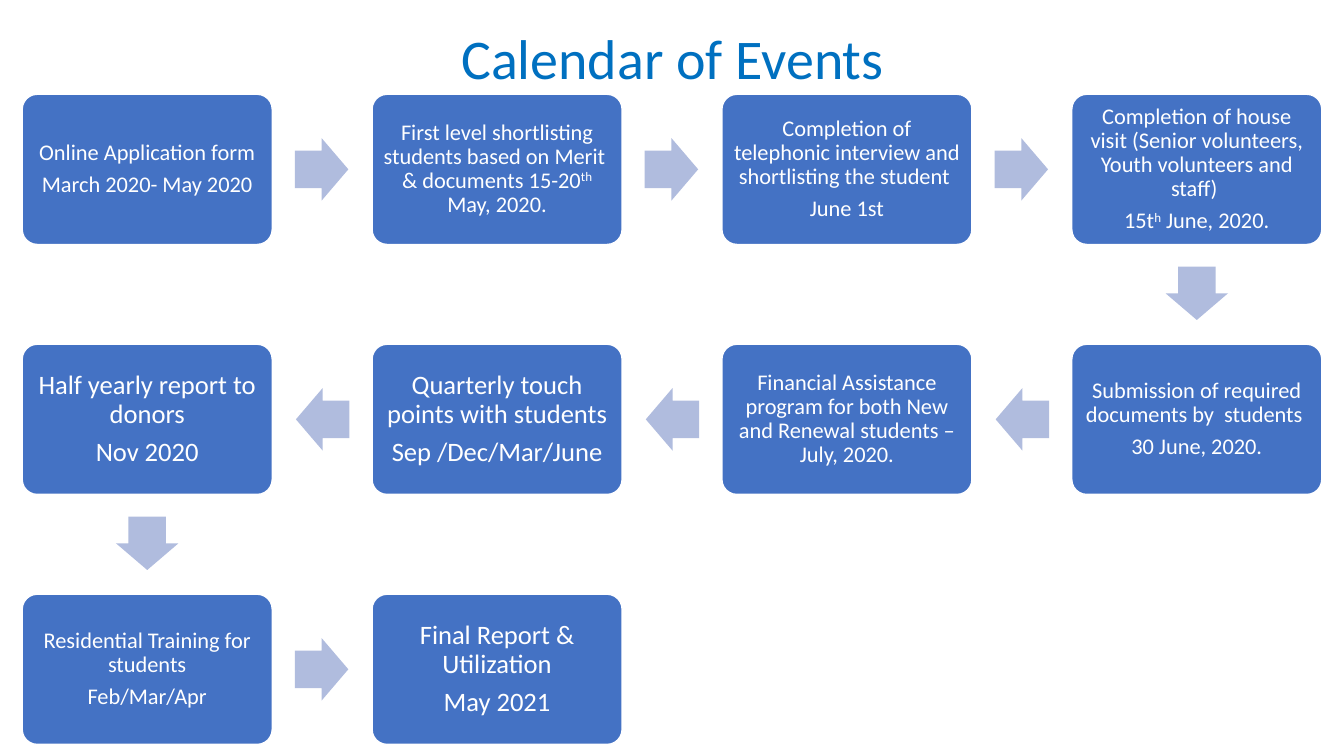
from dataclasses import dataclass

from pptx import Presentation
from pptx import util as u
from pptx.dml import color
from pptx.enum import shapes, text


@dataclass(frozen=True)
class Theme:
    font: str = "Calibri"
    title: str = "0070C0"
    box: str = "4472C4"
    arrow: str = "B0BCDE"
    white: str = "FFFFFF"
    head: int = 40
    small: int = 16
    large: int = 19


def rgb(code):
    return color.RGBColor.from_string(code)


class Board:
    """Holds the theme and the current slide."""

    def __init__(self, theme, slide):
        self.theme = theme
        self.slide = slide

    def label(self, frame, lines, size, tint, gap=0):
        """Fill a frame; text between ^ marks is raised."""
        frame.word_wrap = True
        frame.vertical_anchor = text.MSO_ANCHOR.MIDDLE
        for i, line in enumerate(lines):
            para = frame.add_paragraph() if i else frame.paragraphs[0]
            para.alignment = text.PP_ALIGN.CENTER
            para.line_spacing = 0.9
            para.space_after = u.Pt(gap)
            for j, part in enumerate(line.split("^")):
                run = para.add_run()
                run.text = part
                run.font.name = self.theme.font
                run.font.size = u.Pt(size)
                run.font.color.rgb = rgb(tint)
                if j % 2:
                    run._r.get_or_add_rPr().set("baseline", "30000")

    def title(self, words, left, top, width, height):
        area = map(u.Inches, (left, top, width, height))
        frame = self.slide.shapes.add_textbox(*area).text_frame
        self.label(frame, [words], self.theme.head, self.theme.title)

    def shape(self, kind, mid, size, fill):
        """Add a plain filled shape centred on mid."""
        left, top = (m - s / 2 for m, s in zip(mid, size))
        area = map(u.Inches, (left, top, *size))
        item = self.slide.shapes.add_shape(kind, *area)
        item.shadow.inherit = False
        item.fill.solid()
        item.fill.fore_color.rgb = rgb(fill)
        item.line.fill.background()
        return item

    def box(self, mid, lines, size):
        kind = shapes.MSO_SHAPE.ROUNDED_RECTANGLE
        item = self.shape(kind, mid, BOX, self.theme.box)
        item.adjustments[0] = 0.1
        item.line.color.rgb = rgb(self.theme.white)
        item.line.width = u.Pt(1)
        frame = item.text_frame
        inset = u.Inches(0.07 if size == self.theme.small else 0.08)
        frame.margin_left = frame.margin_right = inset
        frame.margin_top = frame.margin_bottom = inset
        self.label(frame, lines, size, self.theme.white, round(size * 0.35, 1))

    def arrow(self, mid, angle):
        kind = shapes.MSO_SHAPE.RIGHT_ARROW
        item = self.shape(kind, mid, ARROW, self.theme.arrow)
        item.adjustments[0] = 0.6
        item.adjustments[1] = 0.5
        item.rotation = angle


# Grid: box centres, steps between them, and arrow offsets
COLS = 4
BOX = (2.48, 1.49)
ARROW = (0.53, 0.62)
START = (1.46, 1.68)
STEP = (3.47, 2.48)
REACH = (1.73, 1.23)

THEME = Theme()
S, L = THEME.small, THEME.large
EVENTS = [
    (S, ["Online Application form", "March 2020- May 2020"]),
    (S, ["First level shortlisting students based on Merit  & documents "
         "15-20^th^ May, 2020."]),
    (S, ["Completion of telephonic interview and shortlisting the student ",
         "June 1st"]),
    (S, ["Completion of house visit (Senior volunteers, Youth volunteers "
         "and staff) ", "15t^h^ June, 2020."]),
    (S, ["Submission of required documents by  students ", "30 June, 2020."]),
    (S, ["Financial Assistance program for both New and Renewal students – "
         "July, 2020."]),
    (L, ["Quarterly touch points with students", "Sep /Dec/Mar/June"]),
    (L, ["Half yearly report to donors", "Nov 2020"]),
    (S, ["Residential Training for students", "Feb/Mar/Apr"]),
    (L, ["Final Report & Utilization", "May 2021"]),
]


def main():
    deck = Presentation()
    deck.slide_width = u.Inches(13.33)
    deck.slide_height = u.Inches(7.5)
    board = Board(THEME, deck.slides.add_slide(deck.slide_layouts[6]))

    # Events wind through the grid, every second row running leftwards
    for i, (size, lines) in enumerate(EVENTS):
        row, col = divmod(i, COLS)
        back = row % 2
        if back:
            col = COLS - 1 - col
        x, y = START[0] + STEP[0] * col, START[1] + STEP[1] * row
        board.box((x, y), lines, size)

        # Arrow towards the next event
        if i == len(EVENTS) - 1:
            continue
        if i % COLS == COLS - 1:
            board.arrow((x, y + REACH[1]), 90)
        elif back:
            board.arrow((x - REACH[0], y), 180)
        else:
            board.arrow((x + REACH[0], y), 0)

    # Heading
    board.title("Calendar of Events", 0.92, 0.05, 11.5, 1.11)
    deck.save("out.pptx")


if __name__ == "__main__":
    main()
